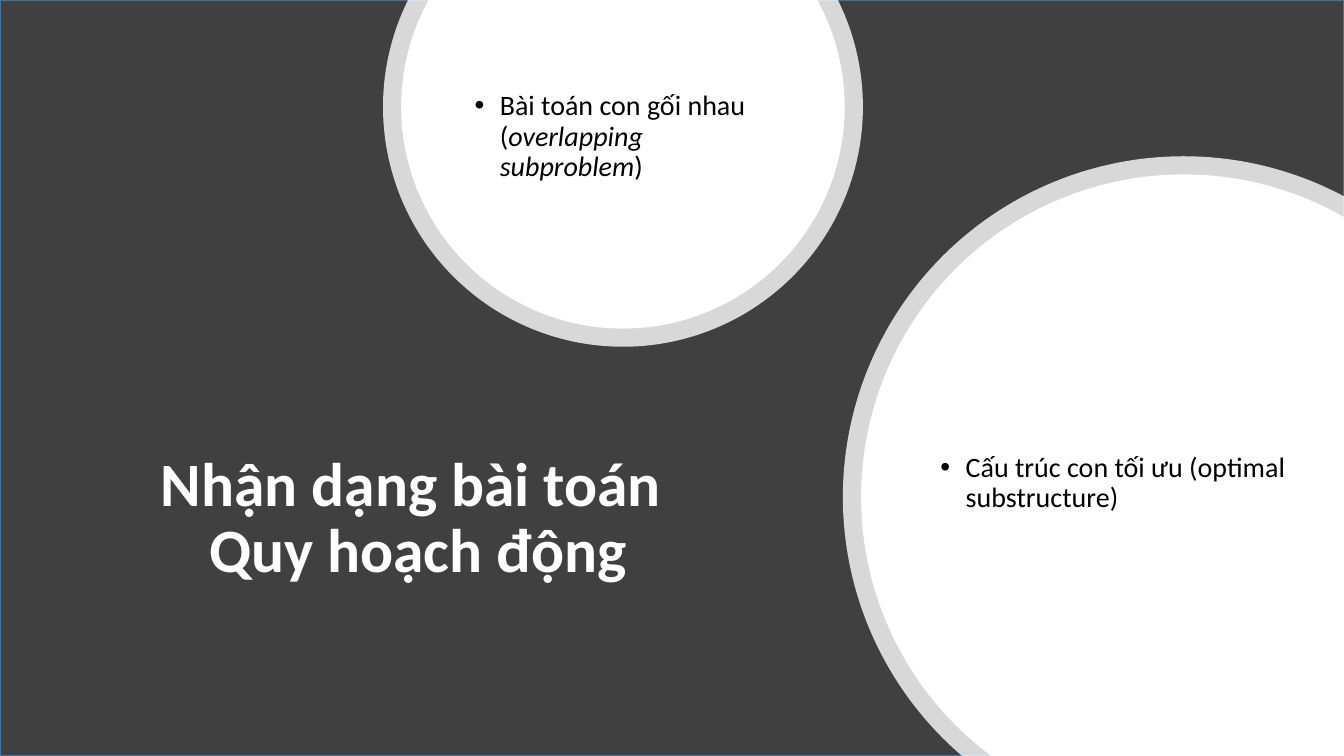
from itertools import pairwise
from math import acos, asin, cos, degrees, radians, sin

from lxml.etree import Element, SubElement
from pptx import Presentation
from pptx.dml.color import RGBColor
from pptx.enum.shapes import MSO_SHAPE
from pptx.enum.text import MSO_ANCHOR, PP_ALIGN
from pptx.oxml.ns import qn
from pptx.util import Pt

WIDTH, HEIGHT = 960, 540
RING_WIDTH = 13
WHITE, BLACK, CHARCOAL, BLUE = "FFFFFF", "000000", "404040", "43739E"


def color(hex_text):
    return RGBColor.from_string(hex_text)


def fill_shape(shape, fill, opacity=None):
    shape.shadow.inherit = False
    shape.fill.solid()
    shape.fill.fore_color.rgb = color(fill)
    if opacity is not None:
        tint = shape.fill._xPr.find(qn("a:solidFill"))[0]
        SubElement(tint, qn("a:alpha"), val=str(opacity * 1000))


def add_bullet(para, margin, hang):
    properties = para._p.get_or_add_pPr()
    properties.set("marL", str(Pt(margin)))
    properties.set("indent", str(Pt(-hang)))
    SubElement(properties, qn("a:buFont"), typeface="Arial")
    SubElement(properties, qn("a:buChar"), char="•")


def add_text(page, box, spans, size=20, fill=BLACK, bold=False,
             align=PP_ALIGN.LEFT, bullet_margin=None, bottom=3.6):
    """Write one paragraph of (text, italic) spans, centred vertically."""
    frame = page.shapes.add_textbox(*map(Pt, box)).text_frame
    frame.word_wrap = True
    frame.vertical_anchor = MSO_ANCHOR.MIDDLE
    frame.margin_bottom = Pt(bottom)
    para = frame.paragraphs[0]
    para.alignment = align
    para.line_spacing = 0.9
    if bullet_margin is not None:
        add_bullet(para, bullet_margin, hang=18)
    for text, italic in spans:
        for line_number, line in enumerate(text.split("\n")):
            if line_number:
                para.add_line_break()
            span = para.add_run()
            span.text = line
            font = span.font
            font.name, font.size = "Calibri", Pt(size)
            font.bold, font.italic = bold, italic
            font.color.rgb = color(fill)


def cut_at_top(center, radius):
    """Return the arc's angles and the slide corners that close it."""
    rise = degrees(asin(center[1] / radius))
    return [-rise, 0, 90, 180, 180 + rise], []


def cut_at_bottom_right(center, radius):
    """Return the arc's angles and the slide corners that close it."""
    start = 180 - degrees(asin((HEIGHT - center[1]) / radius))
    end = 360 - degrees(acos((WIDTH - center[0]) / radius))
    return [start, 180, 270, end], [(WIDTH, HEIGHT)]


def add_disc(page, center, radius, cut, opacity=None):
    """Draw a white circle cut off at the slide edges."""
    angles, corners = cut(center, radius)
    arc_points = [(center[0] + radius * cos(radians(angle)),
                   center[1] + radius * sin(radians(angle))) for angle in angles]
    points = [(Pt(x), Pt(y)) for x, y in arc_points + corners]
    builder = page.shapes.build_freeform(*points[0])
    builder.add_line_segments(points[1:], close=True)
    disc = builder.convert_to_shape()
    chords = list(disc._element.iter(qn("a:lnTo")))
    for chord, (start, end) in zip(chords, pairwise(angles)):
        arc = Element(qn("a:arcTo"), wR=str(Pt(radius)), hR=str(Pt(radius)),
                      stAng=str(round(start % 360 * 60000)),
                      swAng=str(round((end - start) * 60000)))
        chord.getparent().replace(chord, arc)
    fill_shape(disc, WHITE, opacity)
    disc.line.fill.background()


def add_bubble(page, center, radius, cut, box, spans, **text_format):
    """Draw a disc with a translucent ring and a bulleted text."""
    add_disc(page, center, radius + RING_WIDTH, cut, opacity=80)
    add_disc(page, center, radius, cut)
    add_text(page, box, spans, **text_format)


def add_backdrop(page, box):
    backdrop = page.shapes.add_shape(MSO_SHAPE.RECTANGLE, *map(Pt, box))
    fill_shape(backdrop, CHARCOAL)
    backdrop.line.color.rgb = color(BLUE)
    backdrop.line.width = Pt(1)


def main():
    deck = Presentation()
    deck.slide_width, deck.slide_height = Pt(WIDTH), Pt(HEIGHT)
    page = deck.slides.add_slide(deck.slide_layouts[6])
    add_backdrop(page, (0, 0, WIDTH, HEIGHT))
    add_text(page, (60.5, 275.8, 476.6, 190.8),
             [("Nhận dạng bài toán \nQuy hoạch động", False)],
             size=44, fill=WHITE, bold=True, align=PP_ALIGN.CENTER)
    add_bubble(page, (445, 76.3), 158.4, cut_at_top, (331.9, 28, 226.8, 193),
               [("Bài toán con gối nhau (", False),
                ("overlapping subproblem", True), (")", False)],
               bullet_margin=18, bottom=57)
    add_bubble(page, (845.5, 355), 230.4, cut_at_bottom_right,
               (660.2, 247.7, 273.6, 218.9),
               [("Cấu trúc con tối ưu (optimal substructure)", False)],
               bullet_margin=22.5, bottom=27)
    deck.save("out.pptx")


if __name__ == "__main__":
    main()
